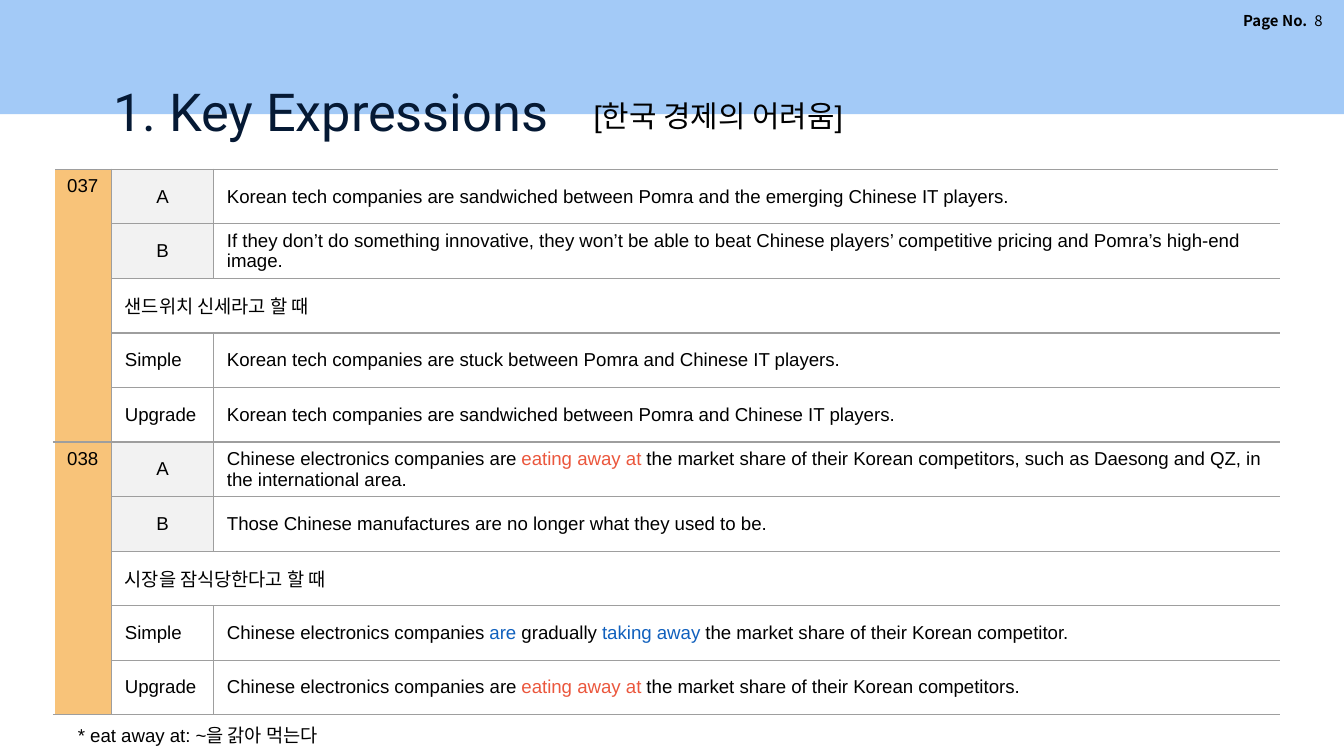
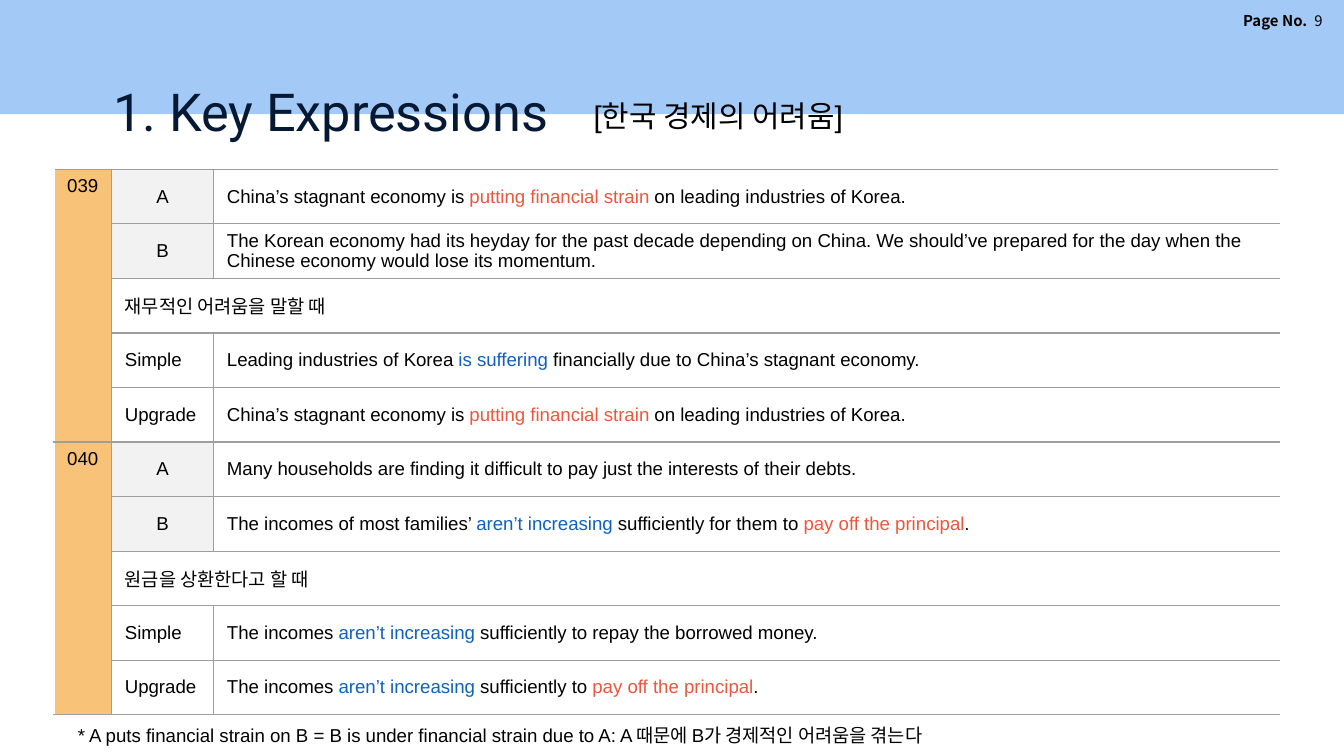
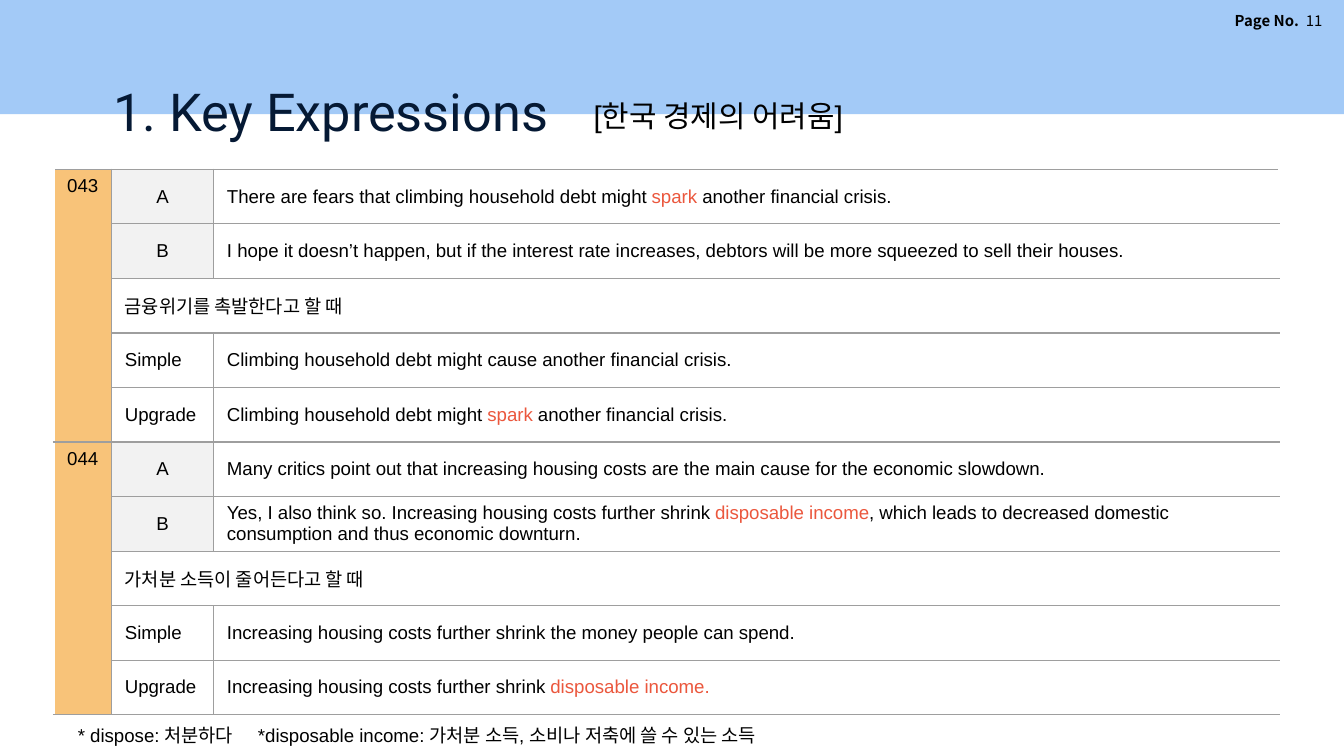
from dataclasses import dataclass

from lxml import etree
from pptx import Presentation
from pptx.dml.color import RGBColor
from pptx.enum.shapes import MSO_SHAPE
from pptx.enum.text import MSO_ANCHOR, MSO_AUTO_SIZE, PP_ALIGN
from pptx.oxml.ns import qn
from pptx.util import Pt

RECT = MSO_SHAPE.RECTANGLE
MID, TOP = MSO_ANCHOR.MIDDLE, MSO_ANCHOR.TOP
LEFT, MAIN, RIGHT = PP_ALIGN.LEFT, PP_ALIGN.CENTER, PP_ALIGN.RIGHT
GROW, FIXED = MSO_AUTO_SIZE.SHAPE_TO_FIT_TEXT, MSO_AUTO_SIZE.NONE


@dataclass(frozen=True)
class Theme:
    band: str = "A3CAF7"
    navy: str = "051934"
    ink: str = "000000"
    red: str = "EB573D"
    blue: str = "1060BD"
    tag: str = "F8C379"
    head: str = "F2F2F2"
    rule: str = "9E9E9E"
    white: str = "FFFFFF"
    body: str = "Arial"
    title: str = "Roboto"
    page: str = "Noto Sans CJK KR"
    small: int = 8
    text: int = 10
    sub: int = 16
    big: int = 28


T = Theme()


def red(text):
    return text, T.red


def blue(text):
    return text, T.blue


# Content: each unit has a number, lines A and B, a topic, and two answers
TITLE = "1. Key Expressions"
TOPIC = "[한국 경제의 어려움]"
LABELS = ["A", "B", None, "Simple", "Upgrade"]

PAGES = [
    {
        "page": 8,
        "note": "* eat away at: ~을 갉아 먹는다",
        "units": [
            ("037", [
                ["Korean tech companies are sandwiched between Pomra and the "
                 "emerging Chinese IT players."],
                ["If they don’t do something innovative, they won’t be able to "
                 "beat Chinese players’ competitive pricing and Pomra’s "
                 "high-end image."],
                ["샌드위치 신세라고 할 때"],
                ["Korean tech companies are stuck between Pomra and Chinese "
                 "IT players."],
                ["Korean tech companies are sandwiched between Pomra and "
                 "Chinese IT players."],
            ]),
            ("038", [
                ["Chinese electronics companies are ", red("eating away at "),
                 "the market share of their Korean competitors, such as "
                 "Daesong and QZ, in the international area."],
                ["Those Chinese manufactures are no longer what they used "
                 "to be."],
                ["시장을 잠식당한다고 할 때"],
                ["Chinese electronics companies ", blue("are"), " gradually ",
                 blue("taking away "),
                 "the market share of their Korean competitor."],
                ["Chinese electronics companies are ", red("eating away at "),
                 "the market share of their Korean competitors."],
            ]),
        ],
    },
    {
        "page": 9,
        "note": "* A puts financial strain on B = B is under financial strain "
                "due to A: A 때문에 B가 경제적인 어려움을 겪는다",
        "units": [
            ("039", [
                ["China’s stagnant economy is ",
                 red("putting financial strain"),
                 " on leading industries of Korea."],
                ["The Korean economy had its heyday for the past decade "
                 "depending on China. We should’ve prepared for the day when "
                 "the Chinese economy would lose its momentum."],
                ["재무적인 어려움을 말할 때"],
                ["Leading industries of Korea ", blue("is suffering "),
                 "financially due to China’s stagnant economy."],
                ["China’s stagnant economy is ",
                 red("putting financial strain "),
                 "on leading industries of Korea."],
            ]),
            ("040", [
                ["Many households are finding it difficult to pay just the "
                 "interests of their debts."],
                ["The incomes of most families’ ", blue("aren’t increasing "),
                 "sufficiently for them to ", red("pay off the principal"),
                 "."],
                ["원금을 상환한다고 할 때"],
                ["The incomes ", blue("aren’t increasing "),
                 "sufficiently to repay the borrowed money."],
                ["The incomes ", blue("aren’t increasing "),
                 "sufficiently to ", red("pay off the principal"), "."],
            ]),
        ],
    },
    {
        "page": 11,
        "note": "* dispose: 처분하다\t*disposable income: 가처분 소득, "
                "소비나 저축에 쓸 수 있는 소득",
        "units": [
            ("043", [
                ["There are fears that climbing household debt might ",
                 red("spark"), " another financial crisis."],
                ["I hope it doesn’t happen, but if the interest rate "
                 "increases, debtors will be more squeezed to sell their "
                 "houses."],
                ["금융위기를 촉발한다고 할 때"],
                ["Climbing household debt might cause another financial "
                 "crisis."],
                ["Climbing household debt might ", red("spark"),
                 " another financial crisis."],
            ]),
            ("044", [
                ["Many critics point out that increasing housing costs are "
                 "the main cause for the economic slowdown."],
                ["Yes, I also think so. Increasing housing costs further "
                 "shrink ", red("disposable income"),
                 ", which leads to decreased domestic consumption and thus "
                 "economic downturn."],
                ["가처분 소득이 줄어든다고 할 때"],
                ["Increasing housing costs further shrink the money people "
                 "can spend."],
                ["Increasing housing costs further shrink ",
                 red("disposable income.")],
            ]),
        ],
    },
]

# Layout, in points
WIDE, HIGH = 720, 405
BAND = 61.2
COLS = [30.9, 54.7, 570.7]
ROW = 29.25
GRID = (28.8, 90.7)
TIGHT = 2
STOP = 96.5


def write(para, runs, size, name=T.body, color=T.ink, align=LEFT):
    para.alignment = align
    para.font.size = Pt(size)
    para.font.name = name
    para.font.color.rgb = RGBColor.from_string(color)
    for part in runs:
        text, tint = (part, None) if isinstance(part, str) else part
        run = para.add_run()
        run.text = text
        if tint:
            run.font.color.rgb = RGBColor.from_string(tint)


def add_box(slide, area, pad=(7.2, 3.6), fit=GROW):
    frame = slide.shapes.add_textbox(*map(Pt, area)).text_frame
    frame.word_wrap = True
    frame.auto_size = fit
    frame.margin_left = frame.margin_right = Pt(pad[0])
    frame.margin_top = frame.margin_bottom = Pt(pad[1])
    return frame.paragraphs[0]


def add_stop(para, pos):
    tabs = etree.SubElement(para._p.get_or_add_pPr(), qn("a:tabLst"))
    etree.SubElement(tabs, qn("a:tab"), pos=str(Pt(pos)), algn="l")


def add_edges(cell, first, last):
    props = cell._tc.get_or_add_tcPr()
    for side in "LRTB":
        outer = side == "L" and first or side == "R" and last
        color, width = (T.white, 1) if outer else (T.rule, 0.75)
        line = etree.SubElement(props, qn("a:ln" + side), w=str(Pt(width)))
        fill = etree.SubElement(line, qn("a:solidFill"))
        etree.SubElement(fill, qn("a:srgbClr"), val=color)


def fill_cell(cell, runs, align=LEFT):
    cell.vertical_anchor = MID
    cell.margin_top = cell.margin_bottom = Pt(TIGHT)
    write(cell.text_frame.paragraphs[0], runs, T.text, align=align)


def add_grid(slide, units):
    step = len(LABELS)
    count = step * len(units)
    area = (*GRID, sum(COLS), ROW * count)
    table = slide.shapes.add_table(count, len(COLS), *map(Pt, area)).table
    table.first_row = table.horz_banding = False
    for col, width in zip(table.columns, COLS):
        col.width = Pt(width)

    # Rules and fills
    for r in range(count):
        table.rows[r].height = Pt(ROW)
        topic = LABELS[r % step] is None
        for c in range(len(COLS)):
            cell = table.cell(r, c)
            add_edges(cell, c == 0, c == 2 or c == 1 and topic)
            tint = T.tag if c == 0 else T.head if c == 1 and r % step < 2 else None
            if tint:
                cell.fill.solid()
                cell.fill.fore_color.rgb = RGBColor.from_string(tint)
            else:
                cell.fill.background()

    # Words
    for u, (num, lines) in enumerate(units):
        top = u * step
        tag = table.cell(top, 0)
        tag.merge(table.cell(top + step - 1, 0))
        fill_cell(tag, [num])
        tag.vertical_anchor = TOP
        tag.margin_top = tag.margin_right = Pt(3.6)
        for r, (label, runs) in enumerate(zip(LABELS, lines), top):
            left, right = table.cell(r, 1), table.cell(r, 2)
            if label is None:
                left.merge(right)
                fill_cell(left, runs)
            else:
                fill_cell(left, [label], MAIN if len(label) == 1 else LEFT)
                fill_cell(right, runs)


def add_frame(slide, page):
    # Band, page number and title
    band = slide.shapes.add_shape(RECT, 0, 0, Pt(WIDE), Pt(BAND))
    band.shadow.inherit = False
    band.fill.solid()
    band.fill.fore_color.rgb = RGBColor.from_string(T.band)
    band.line.fill.background()

    para = add_box(slide, (610.6, 2.9, 104.4, 16.6), (6.5, 3.6))
    write(para, ["Page No.  ", str(page)], T.small, T.page, align=RIGHT)
    para.runs[0].font.bold = True

    para = add_box(slide, (53.5, 35.3, 257.8, 45.4), (7.2, 7.2), FIXED)
    write(para, [TITLE], T.big, T.title, T.navy)
    write(add_box(slide, (311, 49, 193.7, 26.6)), [TOPIC], T.sub)


def main():
    deck = Presentation()
    deck.slide_width, deck.slide_height = Pt(WIDE), Pt(HIGH)
    for item in PAGES:
        slide = deck.slides.add_slide(deck.slide_layouts[6])
        add_frame(slide, item["page"])
        add_grid(slide, item["units"])
        note = add_box(slide, (34.6, 384.2, 541.4, 19.4))
        if "\t" in item["note"]:
            add_stop(note, STOP)
        write(note, [item["note"]], T.text)
    deck.save("out.pptx")


if __name__ == "__main__":
    main()
